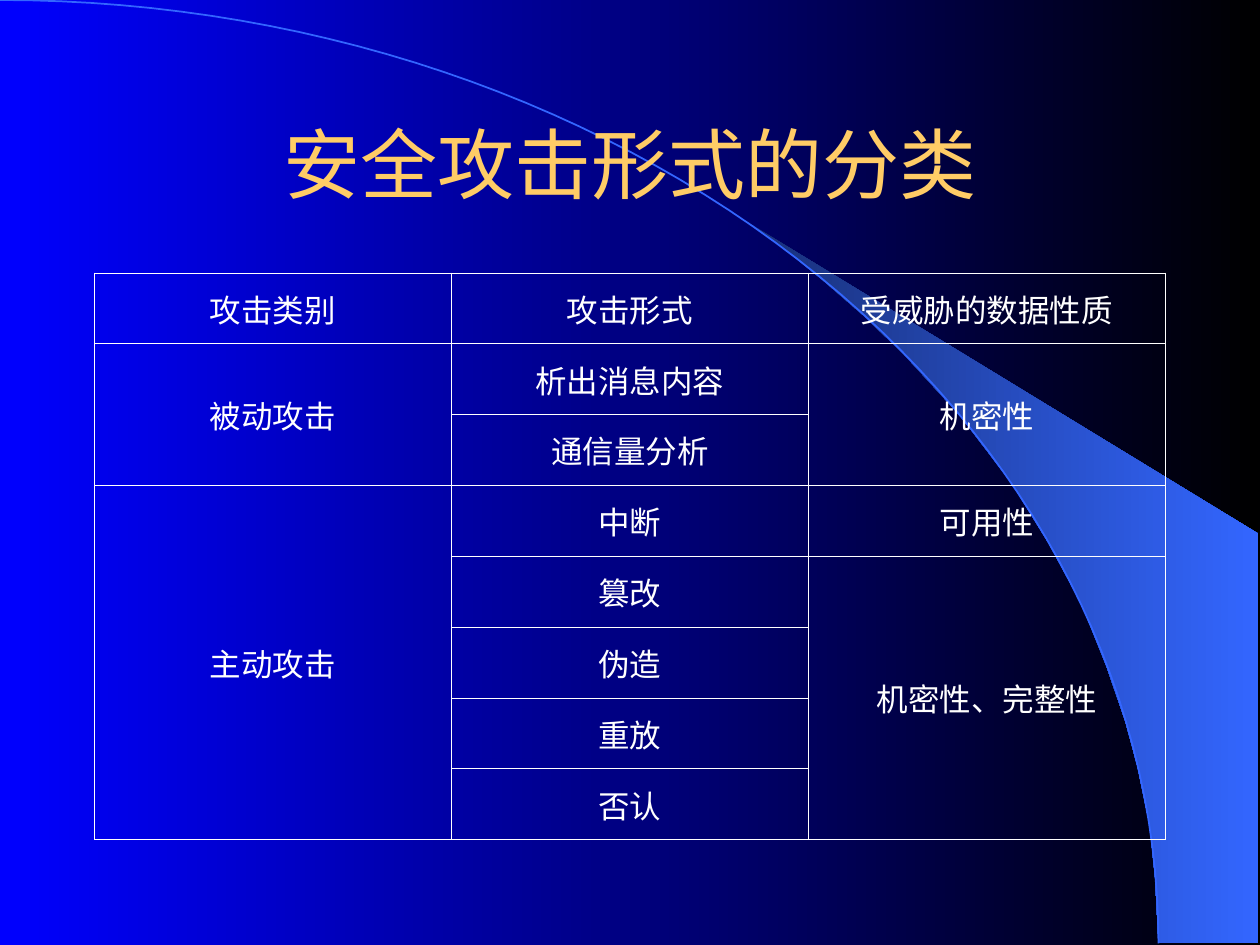
from math import cos, pi, sin

from lxml.etree import SubElement
from pptx import Presentation
from pptx.dml.color import RGBColor as RGB
from pptx.enum.text import MSO_ANCHOR as ANCHOR, PP_ALIGN as ALIGN
from pptx.oxml.ns import qn
from pptx.util import Pt

COLORS = {
    "blue": "0000FF",
    "black": "000000",
    "navy": "182F76",
    "sky": "3366FF",
    "gold": "FFCC66",
    "white": "FFFFFF",
}
WIDTH, HEIGHT = 720, 540
ARC_W, ARC_H, ARC_STEPS = 662, 539, 60
WEDGE = [
    (662, 539), (719, 539), (719, 305), (424, 125), (449, 143), (470, 160),
    (493, 180), (516, 202), (549, 238), (578, 276), (599, 310), (618, 345),
    (632, 380), (643, 412), (650, 438), (657, 472), (660, 501),
]
ROWS = [
    ("攻击类别", "攻击形式", "受威胁的数据性质"),
    ("被动攻击", "析出消息内容", "机密性"),
    ("", "通信量分析", ""),
    ("主动攻击", "中断", "可用性"),
    ("", "篡改", "机密性、完整性"),
    ("", "伪造", ""),
    ("", "重放", ""),
    ("", "否认", ""),
]
MERGES = [(1, 2, 0), (1, 2, 2), (3, 7, 0), (4, 7, 2)]


class Deck:
    """Hold the slide style and draw each kind of element on the current slide."""

    def __init__(self):
        self.prs = Presentation()
        self.prs.slide_width, self.prs.slide_height = Pt(WIDTH), Pt(HEIGHT)
        self.s = self.prs.slides.add_slide(self.prs.slide_layouts[6])

    def color(self, name):
        return RGB.from_string(COLORS[name])

    def gradient(self, fill, *names):
        fill.gradient()
        fill.gradient_angle = 0
        for stop, name in zip(fill.gradient_stops, names):
            stop.color.rgb = self.color(name)

    def outline(self, points, close):
        points = [(Pt(x), Pt(y)) for x, y in points]
        builder = self.s.shapes.build_freeform(*points[0])
        builder.add_line_segments(points[1:], close=close)
        sp = builder.convert_to_shape()
        sp.shadow.inherit = False
        return sp

    def wedge(self, points):
        sp = self.outline(points, True)
        self.gradient(sp.fill, "navy", "sky")
        sp.line.fill.background()

    def arc(self, width, height, steps):
        angles = [pi / 2 * i / steps for i in range(steps + 1)]
        sp = self.outline([(width * sin(a), height * (1 - cos(a))) for a in angles], False)
        sp.fill.background()
        sp.line.color.rgb = self.color("sky")
        sp.line.width = Pt(1)

    def label(self, tf, text, size, font, color):
        p = tf.paragraphs[0]
        p.text = text
        p.alignment = ALIGN.CENTER
        p.font.size, p.font.name = Pt(size), font
        p.font.color.rgb = self.color(color)

    def title(self, text, x, y, w, h):
        tf = self.s.shapes.add_textbox(Pt(x), Pt(y), Pt(w), Pt(h)).text_frame
        tf.word_wrap = True
        tf.vertical_anchor = ANCHOR.MIDDLE
        self.label(tf, text, 44, "Arial", "gold")

    def borders(self, cell):
        tc_pr = cell._tc.get_or_add_tcPr()
        for side in ("a:lnL", "a:lnR", "a:lnT", "a:lnB"):
            ln = SubElement(tc_pr, qn(side), w=str(Pt(0.45)))
            fill = SubElement(ln, qn("a:solidFill"))
            SubElement(fill, qn("a:srgbClr"), val=COLORS["white"])

    def table(self, rows, merges, x, y, w, h):
        frame = self.s.shapes.add_table(len(rows), len(rows[0]), Pt(x), Pt(y), Pt(w), Pt(h))
        table = frame.table
        table.first_row = table.horz_banding = False
        for r, row in enumerate(rows):
            for c, text in enumerate(row):
                cell = table.cell(r, c)
                self.borders(cell)
                cell.fill.background()
                cell.vertical_anchor = ANCHOR.MIDDLE
                if text:
                    self.label(cell.text_frame, text, 18, "Noto Sans CJK SC", "white")
        for top, bottom, c in merges:
            table.cell(top, c).merge(table.cell(bottom, c))


def main():
    deck = Deck()
    deck.gradient(deck.s.background.fill, "blue", "black")
    deck.wedge(WEDGE)
    deck.arc(ARC_W, ARC_H, ARC_STEPS)
    deck.title("安全攻击形式的分类", 54, 48, 612, 90)
    deck.table(ROWS, MERGES, 54, 156, 612, 324)
    deck.prs.save("out.pptx")


if __name__ == "__main__":
    main()
